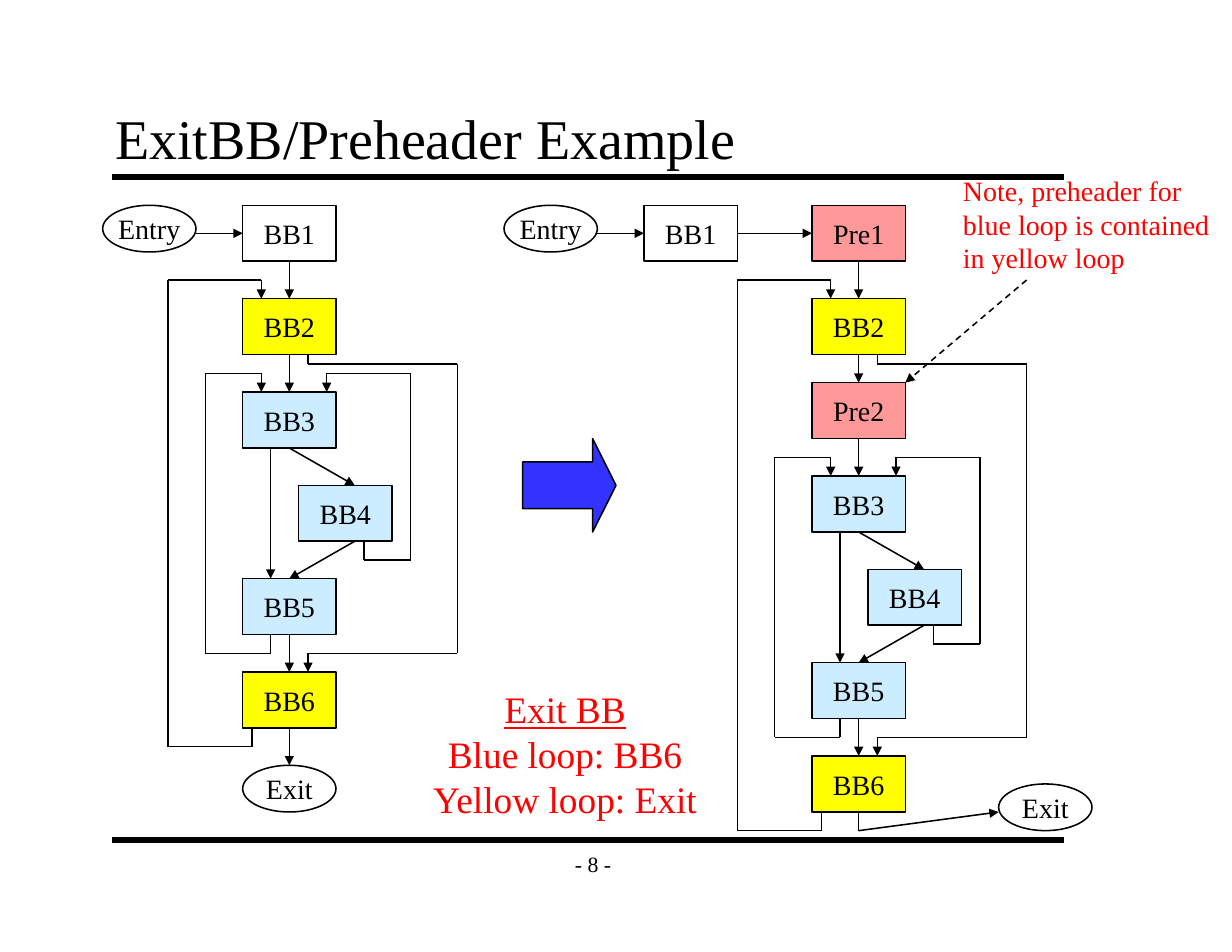
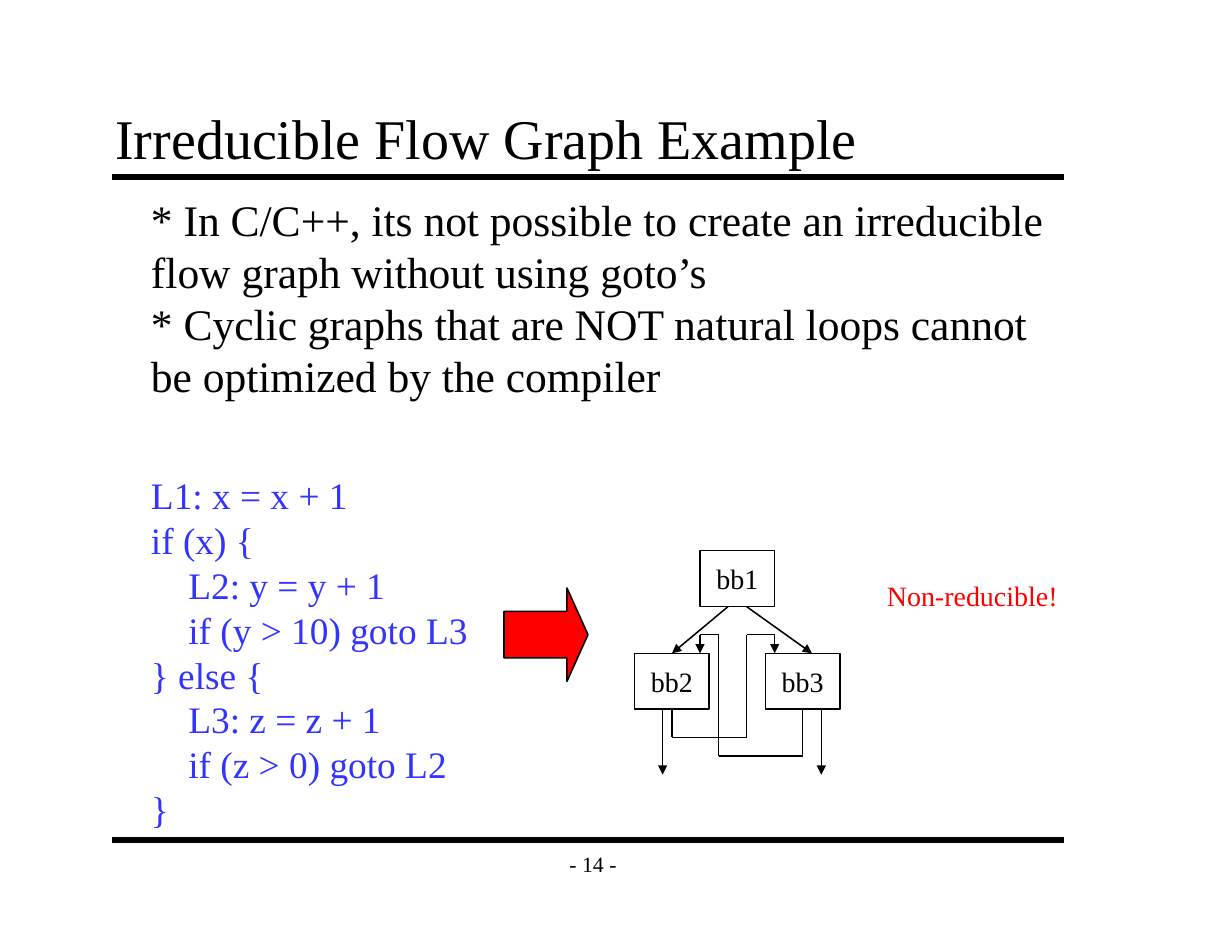
"""Builds two slides on control flow graphs."""
from pptx import Presentation
from pptx.dml.color import RGBColor
from pptx.enum import dml, shapes, text
from pptx.oxml import ns
from pptx.util import Inches, Pt
from lxml import etree

BLACK = RGBColor(0x00, 0x00, 0x00)
RED = RGBColor(0xFF, 0x00, 0x00)
BLUE = RGBColor(0x33, 0x33, 0xFF)
YELLOW = RGBColor(0xFF, 0xFF, 0x00)
SKY = RGBColor(0xCC, 0xEC, 0xFF)
PINK = RGBColor(0xFF, 0x99, 0x99)
FONT = "Times New Roman"
KIND = shapes.MSO_SHAPE
ALIGN = text.PP_ALIGN
ANCHOR = text.MSO_ANCHOR
WIDE = {"margin_left": Inches(0.11), "margin_right": Inches(0.11),
        "margin_top": Inches(0.06), "margin_bottom": Inches(0.06)}


def grid(count):
    """Return a length of so many twelfths of an inch."""
    return Inches(count / 12)


def style(item, values):
    """Set each named attribute of an item."""
    for name, value in values.items():
        setattr(item, name, value)


def write(shape, lines, size, color=BLACK, align=ALIGN.LEFT, **frame):
    """Write one paragraph per line into a shape."""
    body = shape.text_frame
    style(body, {"word_wrap": False, **frame})
    for index, line in enumerate(lines):
        para = body.paragraphs[0] if index == 0 else body.add_paragraph()
        para.alignment = align
        run = para.add_run()
        run.text = line
        style(run.font, {"name": FONT, "size": Pt(size)})
        run.font.color.rgb = color
    return body.paragraphs


def label(slide, box, lines, size, color=BLACK, **options):
    """Add a text box at a box given in inches."""
    area = slide.shapes.add_textbox(*map(Inches, box))
    return write(area, lines, size, color, **options)


def link(slide, start, end, width=1, head=False, dash=False):
    """Draw a straight line between two points."""
    line = slide.shapes.add_connector(
        shapes.MSO_CONNECTOR.STRAIGHT, *start, *end)
    line.line.color.rgb = BLACK
    line.line.width = Pt(width)
    if dash:
        line.line.dash_style = dml.MSO_LINE.DASH
    if head:
        tail = etree.SubElement(line.line._get_or_add_ln(), ns.qn("a:tailEnd"))
        tail.set("type", "triangle")
    props = line.element.find(ns.qn("p:spPr"))
    etree.SubElement(props, ns.qn("a:effectLst"))


def route(slide, x, y, *points, dash=False):
    """Draw a path of grid points that ends in an arrowhead."""
    spots = [(grid(x + across), grid(y + down)) for across, down in points]
    for step, (start, end) in enumerate(zip(spots, spots[1:]), 2):
        link(slide, start, end, head=step == len(spots), dash=dash)


def form(slide, kind, box, fill=None):
    """Add an outlined preset shape at a box in grid units."""
    shape = slide.shapes.add_shape(kind, *map(grid, box))
    shape.shadow.inherit = False
    if fill is None:
        shape.fill.background()
    else:
        shape.fill.solid()
        shape.fill.fore_color.rgb = fill
    shape.line.color.rgb = BLACK
    shape.line.width = Pt(1)
    return shape


def node(slide, x, y, name, fill=None, width=10):
    """Add a block of the flow graph."""
    shape = form(slide, KIND.RECTANGLE, (x, y, width, 6), fill)
    write(shape, [name], 18, align=ALIGN.CENTER, vertical_anchor=ANCHOR.MIDDLE)


def end(slide, x, y, name):
    """Add an oval for the entry or the exit."""
    shape = form(slide, KIND.OVAL, (x, y, 10, 5))
    write(shape, [name], 18, align=ALIGN.CENTER, vertical_anchor=ANCHOR.MIDDLE)


def arrow(slide, box, fill):
    """Add a block arrow pointing right."""
    shape = form(slide, KIND.RIGHT_ARROW, box, fill)
    shape.adjustments[0] = 0.5
    shape.adjustments[1] = 0.25


def frame(deck, title, number):
    """Add a slide with its title, two rules and page number."""
    slide = deck.slides.add_slide(deck.slide_layouts[6])
    for y in (1.58, 7.5):
        link(slide, (Inches(1), Inches(y)), (Inches(9.5), Inches(y)), 4)
    label(slide, (4.92, 7.5, 0.75, 0.42), [f"- {number} -"], 14,
          align=ALIGN.CENTER, vertical_anchor=ANCHOR.MIDDLE, **WIDE)
    label(slide, (0.92, 0.91, 8.5, 0.67), [title], 36, word_wrap=True,
          vertical_anchor=ANCHOR.BOTTOM, **WIDE)
    return slide


def inner(slide, x, y):
    """Draw the blue loops, with BB3 at the given corner."""
    for across, down, name in ((0, 0, "BB3"), (6, 10, "BB4"), (0, 20, "BB5")):
        node(slide, x + across, y + down, name, SKY)
    route(slide, x, y, (5, 6), (12, 10))
    route(slide, x, y, (12, 16), (5, 20))
    route(slide, x, y, (3, 6), (3, 20))
    route(slide, x, y, (3, 26), (3, 28), (-4, 28), (-4, -2), (2, -2), (2, 0))
    route(slide, x, y, (13, 16), (13, 18), (18, 18), (18, -2), (9, -2), (9, 0))


def outer(slide, x, y, drop):
    """Draw the yellow loop around the blue ones, lowered by a drop."""
    last = 40 + drop
    node(slide, x, y, "BB2", YELLOW)
    node(slide, x, y + last, "BB6", YELLOW)
    inner(slide, x, y + 10 + drop)
    route(slide, x, y, (5, -4), (5, 0))
    route(slide, x, y, (5, last - 4), (5, last))
    route(slide, x, y, (7, 6), (7, 7), (23, 7),
          (23, last - 2), (7, last - 2), (7, last))
    route(slide, x, y, (1, last + 6), (1, last + 8), (-8, last + 8),
          (-8, -2), (2, -2), (2, 0))


def start(slide, x, y):
    """Draw the entry oval and BB1 beside it."""
    end(slide, x, y, "Entry")
    node(slide, x + 15, y, "BB1")
    route(slide, x, y, (10, 3), (15, 3))


def before(slide, x, y):
    """Draw the graph without preheaders."""
    start(slide, x, y)
    outer(slide, x + 15, y + 10, 0)
    route(slide, x, y, (20, 16), (20, 20))
    route(slide, x, y, (20, 56), (20, 60))
    end(slide, x + 15, y + 60, "Exit")


def after(slide, x, y):
    """Draw the graph with both preheaders."""
    start(slide, x, y)
    outer(slide, x + 33, y + 10, 9)
    for down, name in ((0, "Pre1"), (19, "Pre2")):
        node(slide, x + 33, y + down, name, PINK)
    route(slide, x, y, (25, 3), (33, 3))
    route(slide, x, y, (38, 16), (38, 19))
    route(slide, x, y, (38, 25), (38, 29))
    route(slide, x, y, (38, 65), (38, 67), (53, 65))
    end(slide, x + 53, y + 62, "Exit")
    route(slide, x, y, (56, 8), (43, 19), dash=True)


def cycle(slide, x, y):
    """Draw the graph whose cycle has two entries."""
    for across, down, name in ((0, 0, "bb1"), (-7, 11, "bb2"), (7, 11, "bb3")):
        node(slide, x + across, y + down, name, width=8)
    route(slide, x, y, (3, 6), (-3, 11))
    route(slide, x, y, (5, 6), (12, 11))
    route(slide, x, y, (-3, 17), (-3, 20), (5, 20), (5, 9), (8, 9), (8, 11))
    route(slide, x, y, (11, 17), (11, 22), (2, 22), (2, 9), (0, 9), (0, 11))
    for across in (-4, 13):
        route(slide, x, y, (across, 17), (across, 24))


def code(slide, box):
    """Write the program, with the branch bodies indented."""
    lines = ["L1: x = x + 1", "if (x) {", "L2: y = y + 1",
             "if (y > 10) goto L3", "} else {", "L3: z = z + 1",
             "if (z > 0) goto L2", "}"]
    paras = label(slide, box, lines, 24, BLUE)
    for index in (2, 3, 5, 6):
        props = paras[index]._p.get_or_add_pPr()
        props.set("marL", str(Pt(24)))


def headers(deck):
    """Build the slide on exit blocks and preheaders."""
    slide = frame(deck, "ExitBB/Preheader Example", 8)
    before(slide, 11, 22)
    after(slide, 54, 22)
    arrow(slide, (56, 47, 10, 10), BLUE)
    paras = label(slide, (3.75, 6.08, 2.59, 1.3),
                  ["Exit BB", "Blue loop: BB6", "Yellow loop: Exit"],
                  24, RED, align=ALIGN.CENTER)
    paras[0].runs[0].font.underline = True
    label(slide, (8.5, 1.5, 2.4, 1),
          ["Note, preheader for", "blue loop is contained",
           "in yellow loop"], 18, RED)


def tangle(deck):
    """Build the slide on the irreducible graph."""
    slide = frame(deck, "Irreducible Flow Graph Example", 14)
    cycle(slide, 75, 59)
    label(slide, (7.82, 5.12, 1.73, 0.4), ["Non-reducible!"], 18, RED)
    code(slide, (1.25, 4.17, 3.03, 3.3))
    label(slide, (1.25, 1.67, 8.17, 1.97),
          ["* In C/C++, its not possible to create an irreducible",
           "flow graph without using goto\u2019s",
           "* Cyclic graphs that are NOT natural loops cannot",
           "be optimized by the compiler"], 28)
    arrow(slide, (54, 63, 9, 10), RED)


def main():
    """Build and save the deck."""
    deck = Presentation()
    style(deck, {"slide_width": Inches(11), "slide_height": Inches(8.5)})
    headers(deck)
    tangle(deck)
    deck.save("out.pptx")


main()
